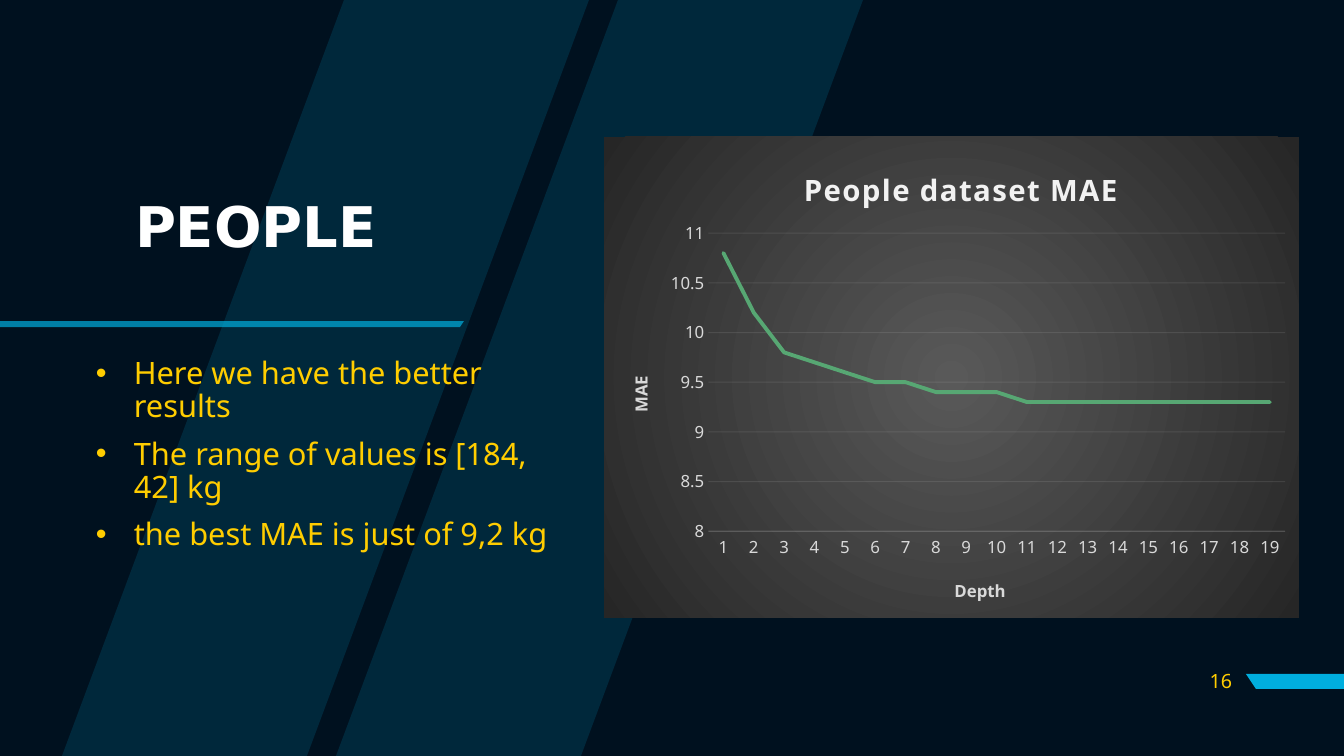
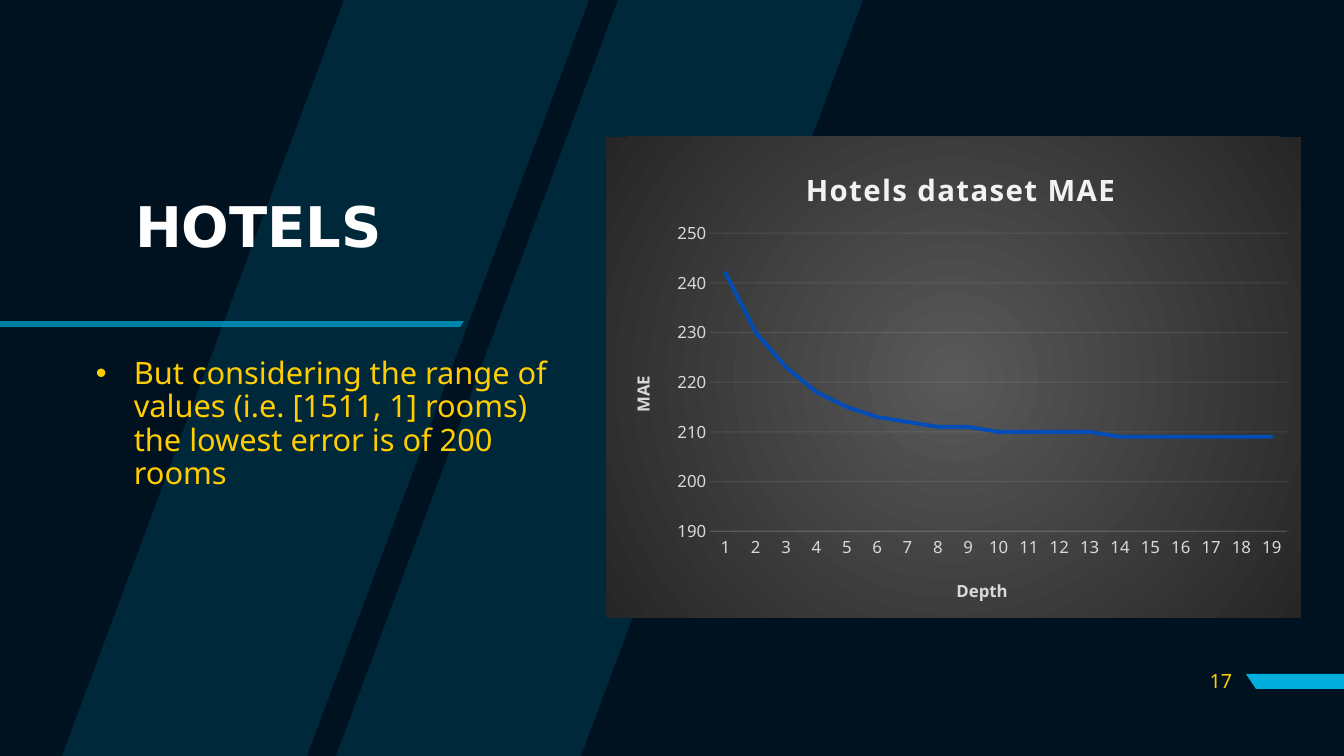
import lxml.etree
import pptx
import pptx.chart.data
import pptx.dml.color
import pptx.enum.chart
import pptx.enum.text
import pptx.oxml
import pptx.oxml.ns
import pptx.util

RGB = pptx.dml.color.RGBColor
NIGHT = RGB(0x00, 0x11, 0x1F)
CYAN = RGB(0x00, 0xAE, 0xDE)
YELLOW = RGB(0xFF, 0xCD, 0x00)
WHITE = RGB(0xFF, 0xFF, 0xFF)
PALE = RGB(0xF2, 0xF2, 0xF2)
SILVER = RGB(0xD9, 0xD9, 0xD9)
GREEN = RGB(0x57, 0xA7, 0x73)
BLUE = RGB(0x00, 0x4C, 0xB9)
GREY = RGB(0x59, 0x59, 0x59)
CHARCOAL = RGB(0x26, 0x26, 0x26)

TITLE_FONT = "DejaVu Sans"
TEXT_FONT = "Noto Sans"
EMU_PER_PX = 914400 / 100.8
WIDTH, HEIGHT = 1344, 756
NS = {
    "a": "http://schemas.openxmlformats.org/drawingml/2006/main",
    "c": "http://schemas.openxmlformats.org/drawingml/2006/chart",
}
XMLNS = " ".join(f'xmlns:{prefix}="{uri}"' for prefix, uri in NS.items())

TOPICS = [
    {
        "title": "PEOPLE",
        "number": "16",
        "findings": [
            "Here we have the better results",
            "The range of values is [184, 42] kg",
            "the best MAE is just of 9,2 kg",
        ],
        "chart_title": "People dataset MAE",
        "chart_box": (604, 137, 695, 481),
        "errors": [10.8, 10.2, 9.8, 9.7, 9.6, 9.5, 9.5, 9.4, 9.4, 9.4] + [9.3] * 9,
        "scale": (8, 11, 0.5),
        "color": GREEN,
    },
    {
        "title": "HOTELS",
        "number": "17",
        "findings": [
            "But considering the range of values (i.e. [1511, 1] rooms) "
            "the lowest error is of 200 rooms",
        ],
        "chart_title": "Hotels dataset MAE",
        "chart_box": (606, 137, 695, 481),
        "errors": [242, 230, 223, 218, 215, 213, 212, 211, 211] + [210] * 4 + [209] * 6,
        "scale": (190, 250, 10),
        "color": BLUE,
    },
]


def px(length):
    """Turn pixels into EMU."""
    return pptx.util.Emu(round(length * EMU_PER_PX))


def style(font, name, size, color, bold=False):
    """Set the typeface, size, colour and weight of a font."""
    font.name = name
    font.size = pptx.util.Pt(size)
    font.color.rgb = color
    font.bold = bold


def set_opacity(colors, percent):
    """Give colour elements an opacity."""
    for color in colors:
        alpha = lxml.etree.SubElement(color, pptx.oxml.ns.qn("a:alpha"))
        alpha.set("val", str(percent * 1000))


def add_outline(slide, points, opacity=100):
    """Draw a closed cyan outline through pixel points."""
    builder = slide.shapes.build_freeform(*points[0], scale=EMU_PER_PX)
    builder.add_line_segments(points[1:], close=True)
    outline = builder.convert_to_shape()
    outline.shadow.inherit = False
    outline.fill.solid()
    outline.fill.fore_color.rgb = CYAN
    outline.line.fill.background()
    if opacity < 100:
        set_opacity(outline.element.spPr.findall(".//a:srgbClr", NS), opacity)


def add_backdrop(slide):
    """Draw the slanted bands, the title rule and the page tab."""
    band, slant = 245, 282
    for left in (62, 336):
        top_left = left + slant
        add_outline(slide, [(left, HEIGHT), (left + band, HEIGHT),
                            (top_left + band, 0), (top_left, 0)], 15)
    add_outline(slide, [(WIDTH, 674), (WIDTH, 689), (1256, 689), (1246, 674)])
    add_outline(slide, [(0, 321), (0, 327), (460, 327), (464, 321)], 70)


def add_title(slide, text, box):
    """Place the title placeholder in front of the backdrop."""
    title = slide.shapes.title
    slide.shapes.element.append(title.element)
    title.left, title.top, title.width, title.height = map(px, box)
    frame = title.text_frame
    frame.text = text
    frame.word_wrap = True
    frame.auto_size = pptx.enum.text.MSO_AUTO_SIZE.NONE
    frame.vertical_anchor = pptx.enum.text.MSO_ANCHOR.MIDDLE
    frame.margin_left = px(49)
    paragraph = frame.paragraphs[0]
    paragraph.alignment = pptx.enum.text.PP_ALIGN.LEFT
    paragraph.line_spacing = 0.9
    style(paragraph.runs[0].font, TITLE_FONT, 40, WHITE, True)


def add_findings(slide, findings, box):
    """Write the findings as a bulleted list."""
    frame = slide.shapes.add_textbox(*map(px, box)).text_frame
    frame.word_wrap = True
    frame.text = "\n".join(findings)
    for index, paragraph in enumerate(frame.paragraphs):
        paragraph.line_spacing = 0.9
        paragraph.space_before = pptx.util.Pt(10 if index else 0)
        properties = paragraph._p.get_or_add_pPr()
        properties.set("marL", str(px(38)))
        properties.set("indent", str(-px(38)))
        for bullet in ('buFont {} typeface="Arial"', 'buChar {} char="•"'):
            properties.append(pptx.oxml.parse_xml(f"<a:{bullet.format(XMLNS)}/>"))
        style(paragraph.runs[0].font, TEXT_FONT, 22, YELLOW)


def add_page_number(slide, number, box):
    """Write the page number beside the page tab."""
    frame = slide.shapes.add_textbox(*map(px, box)).text_frame
    frame.word_wrap = True
    frame.vertical_anchor = pptx.enum.text.MSO_ANCHOR.MIDDLE
    frame.text = number
    paragraph = frame.paragraphs[0]
    paragraph.alignment = pptx.enum.text.PP_ALIGN.RIGHT
    style(paragraph.runs[0].font, TEXT_FONT, 14, YELLOW)


def set_layout(parent, index, **fractions):
    """Fix where a chart part stands, in fractions of the chart."""
    for old in parent.findall("c:layout", NS):
        parent.remove(old)
    modes = "".join(f'<c:{key}Mode val="edge"/>' for key in "xy")
    values = "".join(f'<c:{key} val="{value}"/>' for key, value in fractions.items())
    target = '<c:layoutTarget val="inner"/>' if "w" in fractions else ""
    parent.insert(index, pptx.oxml.parse_xml(
        f"<c:layout {XMLNS}><c:manualLayout>{target}{modes}{values}"
        "</c:manualLayout></c:layout>"))


def write_chart_text(owner, text, size, color, x, y):
    """Write and place the title of a chart or of an axis."""
    frame = owner.text_frame
    frame.text = text
    style(frame.paragraphs[0].runs[0].font, TEXT_FONT, size, color, True)
    set_layout(owner.element, 1, x=x, y=y)


def fill_chart(chart):
    """Fill the chart background with a radial gradient."""
    stops = "".join(f'<a:gs pos="{place}"><a:srgbClr val="{color}"/></a:gs>'
                    for place, color in ((0, GREY), (100000, CHARCOAL)))
    background = pptx.oxml.parse_xml(
        f"<c:spPr {XMLNS}><a:gradFill><a:gsLst>{stops}</a:gsLst>"
        '<a:path path="circle"><a:fillToRect l="50000" t="50000" r="50000" b="50000"/>'
        "</a:path></a:gradFill><a:ln><a:noFill/></a:ln></c:spPr>")
    chart.element.find("c:chart", NS).addnext(background)


def style_axes(chart, scale):
    """Format both axes, their titles and the gridlines."""
    depth, error = chart.category_axis, chart.value_axis
    for axis in (depth, error):
        axis.major_tick_mark = axis.minor_tick_mark = pptx.enum.chart.XL_TICK_MARK.NONE
        style(axis.tick_labels.font, TEXT_FONT, 12, SILVER)
    error.minimum_scale, error.maximum_scale, error.major_unit = scale
    error.tick_labels.number_format = "General"
    error.tick_labels.number_format_is_linked = False
    error.format.line.fill.background()
    for line in (depth.format.line, error.major_gridlines.format.line):
        line.color.rgb = PALE
        line.width = pptx.util.Pt(0.75)
    for part in ("catAx/c:spPr", "majorGridlines"):
        set_opacity(chart.element.findall(f".//c:{part}//a:srgbClr", NS), 10)
    write_chart_text(depth.axis_title, "Depth", 12, SILVER, 0.5, 0.91)
    write_chart_text(error.axis_title, "MAE", 12, SILVER, 0.03, 0.49)


def add_error_chart(slide, topic):
    """Plot the mean absolute error against the depth."""
    data = pptx.chart.data.CategoryChartData()
    data.categories = [str(depth + 1) for depth in range(len(topic["errors"]))]
    data.add_series("Series 1", topic["errors"])
    chart = slide.shapes.add_chart(
        pptx.enum.chart.XL_CHART_TYPE.LINE, *map(px, topic["chart_box"]), data).chart
    style(chart.font, TEXT_FONT, 10, SILVER)
    chart.has_legend = False
    fill_chart(chart)
    write_chart_text(chart.chart_title, topic["chart_title"], 21, PALE, 0.28, 0.05)
    for properties in chart.chart_title.element.iterfind(".//a:r/a:rPr", NS):
        properties.set("spc", "100")
    style_axes(chart, topic["scale"])
    set_layout(chart.element.find(".//c:plotArea", NS), 0, x=0.15, y=0.2, w=0.83, h=0.62)
    plot = chart.plots[0]
    plot.vary_by_categories = False
    errors = plot.series[0]
    errors.smooth = False
    errors.marker.style = pptx.enum.chart.XL_MARKER_STYLE.NONE
    errors.format.line.color.rgb = topic["color"]
    errors.format.line.width = pptx.util.Pt(2.75)
    for line in chart.element.iterfind(".//c:ser/c:spPr/a:ln", NS):
        line.set("cap", "rnd")


def add_topic_slide(presentation, topic):
    """Build one slide with findings on the left and a chart on the right."""
    slide = presentation.slides.add_slide(presentation.slide_layouts[5])
    add_backdrop(slide)
    add_page_number(slide, topic["number"], (1182, 661, 60, 40))
    add_title(slide, topic["title"], (86, 145, 311, 168))
    add_findings(slide, topic["findings"], (86, 353, 481, 326))
    add_error_chart(slide, topic)


def main():
    """Build and save the presentation."""
    presentation = pptx.Presentation()
    presentation.slide_width, presentation.slide_height = px(WIDTH), px(HEIGHT)
    backdrop = presentation.slide_master.background.fill
    backdrop.solid()
    backdrop.fore_color.rgb = NIGHT
    for topic in TOPICS:
        add_topic_slide(presentation, topic)
    presentation.save("out.pptx")


if __name__ == "__main__":
    main()
